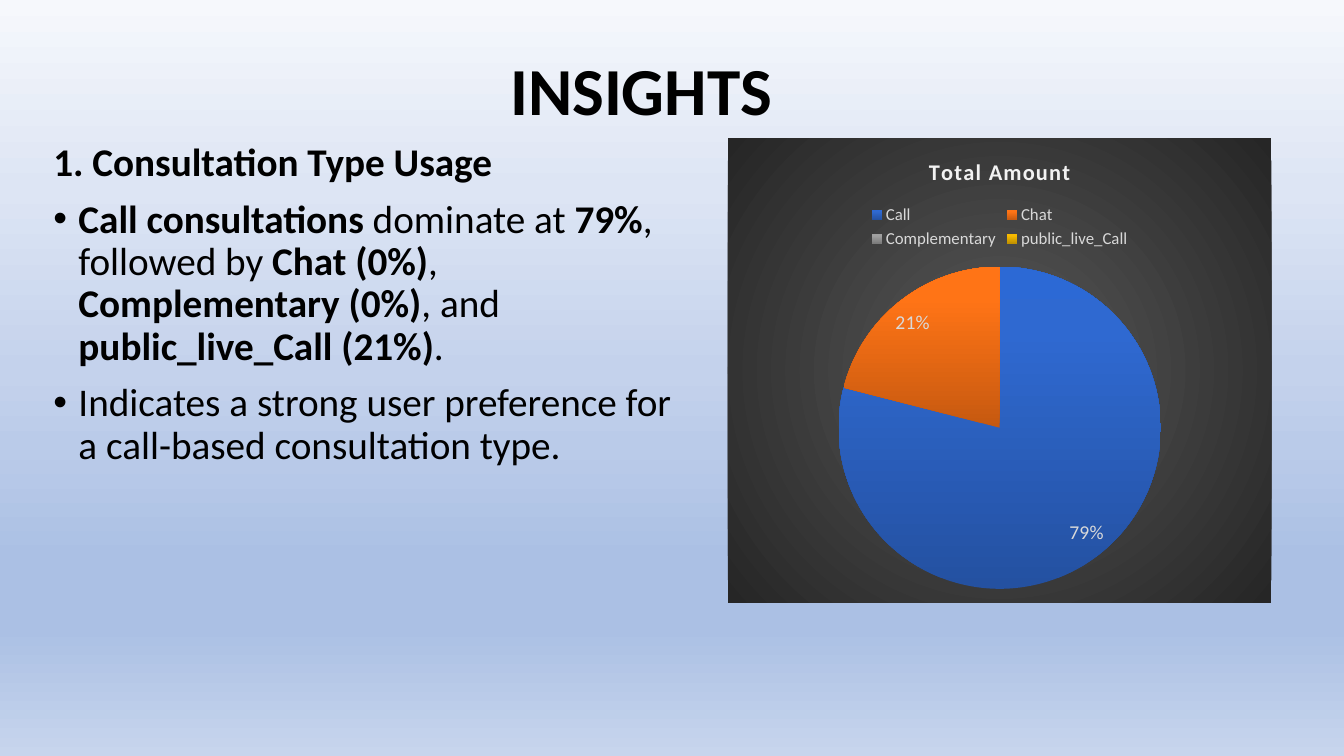
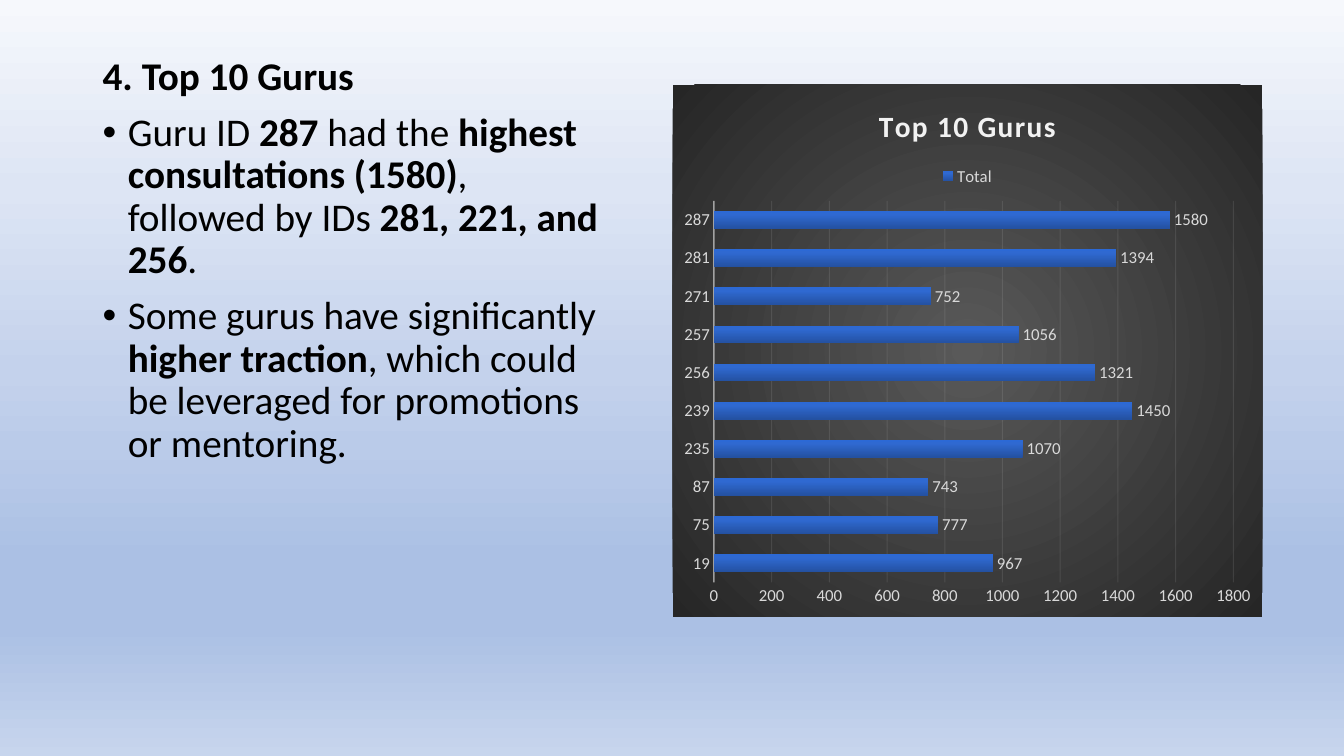
import pptx
import pptx.chart.data
import pptx.dml.color
import pptx.enum.chart
import pptx.enum.text
import pptx.oxml
import pptx.oxml.ns
import pptx.util

RGB = pptx.dml.color.RGBColor
KIND = pptx.enum.chart.XL_CHART_TYPE
PLACE = pptx.enum.chart.XL_LABEL_POSITION

PX = 9144  # 100 px to the inch
FONT = "Calibri"
BLACK = RGB(0x00, 0x00, 0x00)
PALE = RGB(0xF2, 0xF2, 0xF2)
SILVER = RGB(0xD9, 0xD9, 0xD9)

SKY = [(0, RGB(0xF6, 0xF8, 0xFC)), (25, RGB(0xDD, 0xE5, 0xF4)),
       (49, RGB(0xC4, 0xD2, 0xEC)), (59, RGB(0xBA, 0xCB, 0xE9)),
       (74, RGB(0xAB, 0xC0, 0xE4)), (83, RGB(0xAB, 0xC0, 0xE4)),
       (100, RGB(0xC7, 0xD5, 0xED))]
SLATE = [(0, RGB(0x59, 0x59, 0x59)), (100, RGB(0x26, 0x26, 0x26))]
BLUE = [(0, RGB(0x24, 0x51, 0xA1)), (80, RGB(0x2F, 0x69, 0xD1)),
        (100, RGB(0x2C, 0x69, 0xD5))]
ORANGE = [(0, RGB(0xC6, 0x59, 0x10)), (80, RGB(0xFF, 0x74, 0x16)),
          (100, RGB(0xFF, 0x75, 0x17))]
GREY = [(0, RGB(0x7B, 0x7B, 0x7B)), (80, RGB(0xA0, 0xA0, 0xA0)),
        (100, RGB(0xA1, 0xA1, 0xA1))]
GOLD = [(0, RGB(0xBE, 0x8F, 0x00)), (80, RGB(0xF7, 0xBA, 0x00)),
        (100, RGB(0xF8, 0xBB, 0x00))]


def scale(box):
    return [length * PX for length in box]


def blend(stops, angle=None):
    """Return a gradient fill: linear at an angle, else round from the centre."""
    marks = "".join(f'<a:gs pos="{place * 1000}"><a:srgbClr val="{color}"/></a:gs>'
                    for place, color in stops)
    if angle is None:
        course = ('<a:path path="circle"><a:fillToRect l="50000" t="50000" '
                  'r="50000" b="50000"/></a:path>')
    else:
        course = f'<a:lin ang="{angle * 60000}" scaled="0"/>'
    return pptx.oxml.parse_xml(
        f'<a:gradFill {pptx.oxml.ns.nsdecls("a")} rotWithShape="1">'
        f'<a:gsLst>{marks}</a:gsLst>{course}</a:gradFill>')


def style(font, size, color, bold=False):
    font.name = FONT
    font.size = pptx.util.Pt(size)
    font.color.rgb = color
    font.bold = bold


def paint_master(deck):
    master = deck.slide_master
    master.background.fill.solid()
    solid = master.element.xpath(".//p:bgPr/a:solidFill")[0]
    solid.getparent().replace(solid, blend(SKY, 90))


def add_frame(slide, box):
    frame = slide.shapes.add_textbox(*scale(box)).text_frame
    frame.word_wrap = True
    return frame


def add_title(slide, text, box):
    frame = add_frame(slide, box)
    frame.vertical_anchor = pptx.enum.text.MSO_ANCHOR.MIDDLE
    frame.text = text
    para = frame.paragraphs[0]
    para.alignment = pptx.enum.text.PP_ALIGN.CENTER
    para.line_spacing = 0.9
    style(para.runs[0].font, 48, BLACK, True)


def add_bullet(para):
    props = para._p.get_or_add_pPr()
    props.set("marL", str(25 * PX))
    props.set("indent", str(-25 * PX))
    for tag, key, value in (("buFont", "typeface", "Arial"), ("buChar", "char", "•")):
        props.append(pptx.oxml.parse_xml(
            f'<a:{tag} {pptx.oxml.ns.nsdecls("a")} {key}="{value}"/>'))


def add_body(slide, heading, points, box):
    """Add a bold heading and bullets, where ** switches bold on and off."""
    frame = add_frame(slide, box)
    for index, text in enumerate([f"**{heading}**"] + points):
        para = frame.add_paragraph() if index else frame.paragraphs[0]
        para.line_spacing = 0.9
        para.space_before = pptx.util.Pt(10)
        if index:
            add_bullet(para)
        for turn, part in enumerate(text.split("**")):
            if part:
                run = para.add_run()
                run.text = part
                style(run.font, 28, BLACK, turn % 2 == 1)


def add_chart(slide, kind, title, size, series, values, box):
    """Add a dark chart with a spaced title and a legend on top."""
    data = pptx.chart.data.CategoryChartData()
    data.categories = list(values)
    data.add_series(series, list(values.values()))
    chart = slide.shapes.add_chart(kind, *scale(box), data).chart
    style(chart.font, 12, SILVER)

    panel = pptx.oxml.parse_xml(f'<c:spPr {pptx.oxml.ns.nsdecls("c", "a")}/>')
    panel.append(blend(SLATE))
    panel.append(pptx.oxml.parse_xml(
        f'<a:ln {pptx.oxml.ns.nsdecls("a")}><a:noFill/></a:ln>'))
    chart.element.xpath("./c:txPr")[0].addprevious(panel)

    chart.has_title = True
    chart.chart_title.include_in_layout = False
    frame = chart.chart_title.text_frame
    frame.text = title
    run = frame.paragraphs[0].runs[0]
    style(run.font, size, PALE, True)
    run._r.get_or_add_rPr().set("spc", "100")

    chart.has_legend = True
    chart.legend.position = pptx.enum.chart.XL_LEGEND_POSITION.TOP
    chart.legend.include_in_layout = False
    style(chart.legend.font, 12, SILVER)
    return chart


def add_labels(plot, size, place):
    plot.has_data_labels = True
    labels = plot.data_labels
    labels.position = place
    style(labels.font, size, SILVER)
    return labels


def add_pie(slide, title, values, fills, box):
    chart = add_chart(slide, KIND.PIE, title, 16, title, values, box)
    plot = chart.plots[0]
    plot.vary_by_categories = True
    labels = add_labels(plot, 14, PLACE.BEST_FIT)
    labels.show_percentage = True
    labels.show_value = False
    labels.number_format = "0%"
    labels.number_format_is_linked = False
    pie = chart.element.xpath(".//c:ser")[0]
    for index, stops in enumerate(fills):
        point = pie.get_or_add_dPt_for_point(index)
        point.get_or_add_spPr().append(blend(stops, 270))


def draw_line(chart, line, tag, width, alpha):
    """Give a chart line the pale colour at an opacity in percent."""
    line.width = pptx.util.Pt(width)
    line.color.rgb = PALE
    color = chart.element.xpath(f".//c:{tag}/c:spPr//a:srgbClr")[0]
    color.append(pptx.oxml.parse_xml(
        f'<a:alpha {pptx.oxml.ns.nsdecls("a")} val="{alpha * 1000}"/>'))


def add_bars(slide, title, series, values, box):
    chart = add_chart(slide, KIND.BAR_CLUSTERED, title, 21, series, values, box)
    plot = chart.plots[0]
    plot.vary_by_categories = False
    plot.gap_width = 115
    plot.overlap = -20
    add_labels(plot, 12, PLACE.OUTSIDE_END).show_value = True
    bars = chart.element.xpath(".//c:ser")[0]
    bars.get_or_add_spPr().append(blend(BLUE, 270))

    groups, amounts = chart.category_axis, chart.value_axis
    for axis in (groups, amounts):
        style(axis.tick_labels.font, 12, SILVER)
        axis.major_tick_mark = pptx.enum.chart.XL_TICK_MARK.NONE
        axis.minor_tick_mark = pptx.enum.chart.XL_TICK_MARK.NONE
    amounts.minimum_scale = 0
    amounts.maximum_scale = 1800
    amounts.major_unit = 200
    amounts.format.line.fill.background()
    amounts.has_major_gridlines = True
    draw_line(chart, groups.format.line, "catAx", 1, 54)
    draw_line(chart, amounts.major_gridlines.format.line, "majorGridlines", 0.75, 10)


def main():
    deck = pptx.Presentation()
    deck.slide_width, deck.slide_height = scale((1333, 750))
    paint_master(deck)
    blank = deck.slide_layouts[6]

    usage = deck.slides.add_slide(blank)
    add_title(usage, "INSIGHTS", (61, 20, 1150, 145))
    add_body(usage, "1. Consultation Type Usage", [
        "**Call consultations** dominate at **79%**, followed by **Chat (0%)**, "
        "**Complementary (0%)**, and **public_live_Call (21%)**.",
        "Indicates a strong user preference for a call-based consultation type.",
    ], (43, 137, 651, 581))
    add_pie(usage, "Total Amount",
            {"Call": 79, "Chat": 21, "Complementary": 0, "public_live_Call": 0},
            [BLUE, ORANGE, GREY, GOLD], (722, 137, 539, 461))

    gurus = deck.slides.add_slide(blank)
    add_body(gurus, "4. Top 10 Gurus", [
        "Guru ID **287** had the **highest consultations (1580)**, "
        "followed by IDs **281, 221, and 256**.",
        "Some gurus have significantly **higher traction**, which could be "
        "leveraged for promotions or mentoring.",
    ], (92, 51, 526, 625))
    add_bars(gurus, "Top 10 Gurus", "Total", {
        "19": 967, "75": 777, "87": 743, "235": 1070, "239": 1450,
        "256": 1321, "257": 1056, "271": 752, "281": 1394, "287": 1580,
    }, (667, 84, 585, 528))

    deck.save("out.pptx")


if __name__ == "__main__":
    main()
